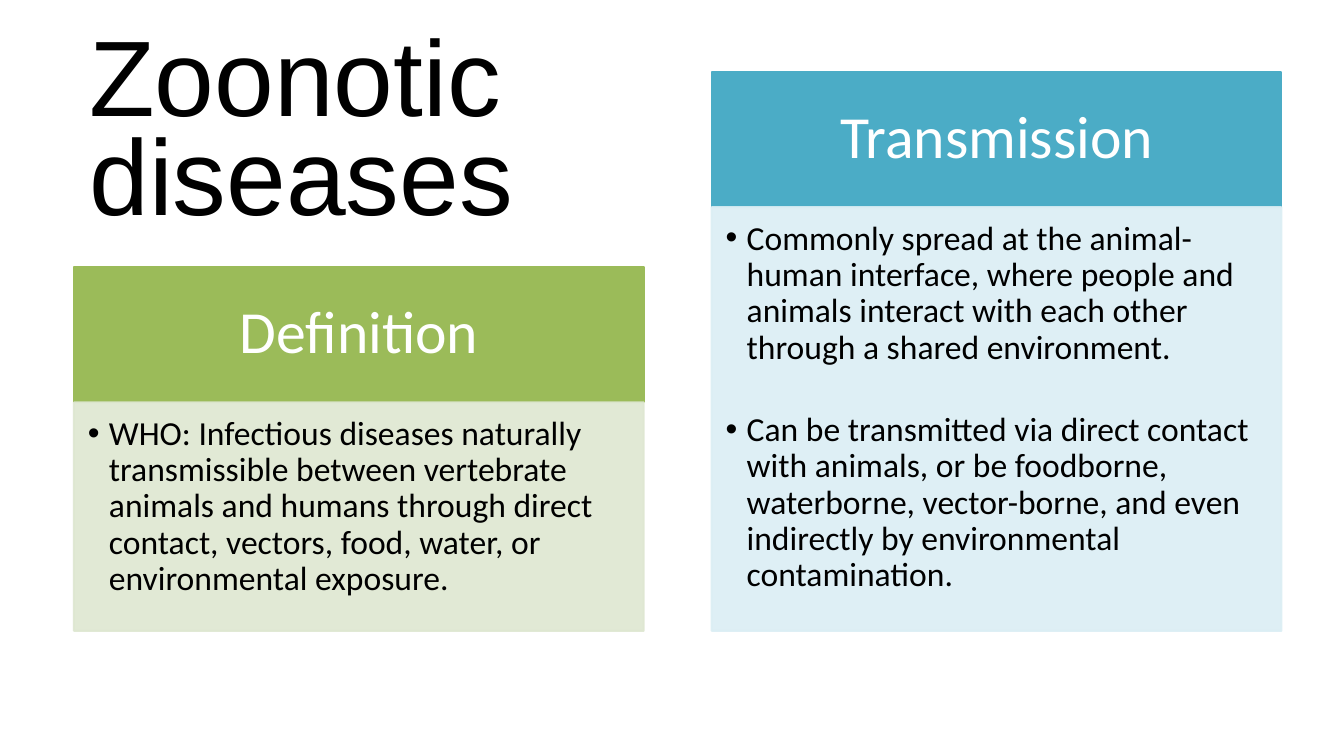
"""Build a slide that explains zoonotic diseases in two headed panels."""
from lxml.etree import SubElement
from pptx import Presentation
from pptx.dml.color import RGBColor
from pptx.enum.shapes import MSO_SHAPE as Shape
from pptx.enum.text import MSO_ANCHOR as Anchor, MSO_AUTO_SIZE as AutoSize, PP_ALIGN as Align
from pptx.oxml.ns import qn
from pptx.util import Pt

TITLE = "Zoonotic diseases"
PANELS = [
    {"heading": "Definition", "top": 286, "colour": "green", "tint": "pale green", "points": [
        "WHO: Infectious diseases naturally transmissible between vertebrate animals and humans "
        "through direct contact, vectors, food, water, or environmental exposure."]},
    {"heading": "Transmission", "top": 77, "colour": "blue", "tint": "pale blue", "points": [
        "Commonly spread at the animal-human interface, where people and animals interact with "
        "each other through a shared environment.",
        "Can be transmitted via direct contact with animals, or be foodborne, waterborne, "
        "vector-borne, and even indirectly by environmental contamination."]},
]
COLOURS = {"green": "9BBB59", "pale green": "DEE7D1", "blue": "4BACC6",
           "pale blue": "DBEEF4", "white": "FFFFFF", "black": "000000"}

PANEL_LEFT, PANEL_WIDTH, PANEL_STEP = 79.2, 610.5, 683.3
HEADING_HEIGHT, PANEL_BOTTOM = 145, 676
HEADING_INSETS = (36, 20, 36, 20)
BODY_INSETS = (15, 15, 20, 23)
BULLET_INDENT, POINT_GAP = 22.5, 49.5


def rgb(colour):
    return RGBColor.from_string(COLOURS[colour])


def write(frame, texts, *, size, font="Calibri", colour="black", align=Align.LEFT,
          anchor=Anchor.TOP, insets=(0, 0, 0, 0), spacing=0.9, gap=0, bullet=False):
    frame.word_wrap = True
    frame.vertical_anchor = anchor
    frame.margin_left, frame.margin_top, frame.margin_right, frame.margin_bottom = map(Pt, insets)
    for index, text in enumerate(texts):
        paragraph = frame.add_paragraph() if index else frame.paragraphs[0]
        paragraph.alignment = align
        paragraph.line_spacing = spacing
        paragraph.space_before = Pt(gap if index else 0)
        if bullet:
            properties = paragraph._p.get_or_add_pPr()
            properties.set("marL", str(Pt(BULLET_INDENT)))
            properties.set("indent", str(-Pt(BULLET_INDENT)))
            SubElement(properties, qn("a:buFont"), typeface="Arial")
            SubElement(properties, qn("a:buChar"), char="•")
        run = paragraph.add_run()
        run.text = text
        run.font.size, run.font.name = Pt(size), font
        run.font.color.rgb = rgb(colour)


def add_block(slide, left, top, height, colour, opacity=100):
    block = slide.shapes.add_shape(Shape.RECTANGLE, Pt(left), Pt(top), Pt(PANEL_WIDTH), Pt(height))
    block.shadow.inherit = False
    block.fill.solid()
    block.line.width = Pt(2)
    for paint in (block.fill.fore_color, block.line.color):
        paint.rgb = rgb(colour)
    if opacity < 100:
        for value in block._element.spPr.iter(qn("a:srgbClr")):
            SubElement(value, qn("a:alpha"), val=str(opacity * 1000))
    return block.text_frame


def main():
    deck = Presentation()
    deck.slide_width, deck.slide_height = Pt(1440), Pt(810)
    slide = deck.slides.add_slide(deck.slide_layouts[5])

    title = slide.shapes.title
    title.left, title.top, title.width, title.height = Pt(95.8), Pt(42.5), Pt(570), Pt(214)
    write(title.text_frame, [TITLE], size=115, font="Arial", spacing=Pt(105.8))
    title.text_frame.auto_size = AutoSize.SHAPE_TO_FIT_TEXT

    for column, panel in enumerate(PANELS):
        left = PANEL_LEFT + column * PANEL_STEP
        body_top = panel["top"] + HEADING_HEIGHT
        heading = add_block(slide, left, panel["top"], HEADING_HEIGHT, panel["colour"])
        write(heading, [panel["heading"]], size=64, colour="white", align=Align.CENTER,
              anchor=Anchor.MIDDLE, insets=HEADING_INSETS)
        body = add_block(slide, left, body_top, PANEL_BOTTOM - body_top, panel["tint"], opacity=90)
        write(body, panel["points"], size=36, insets=BODY_INSETS, gap=POINT_GAP, bullet=True)

    deck.save("out.pptx")


if __name__ == "__main__":
    main()
